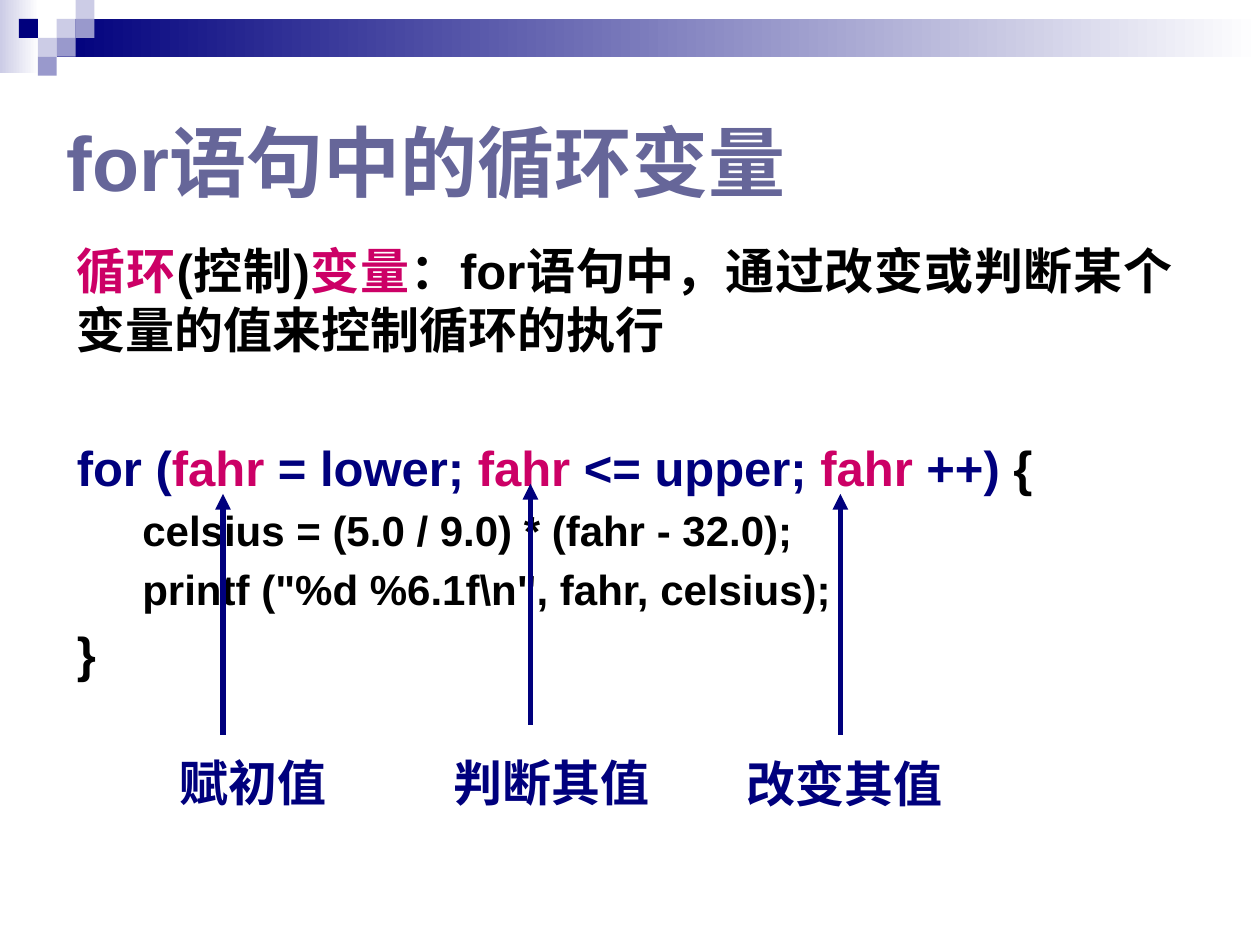
from lxml import etree
from pptx import Presentation
from pptx.dml.color import RGBColor
from pptx.enum import shapes, text
from pptx.oxml import ns
from pptx.util import Inches, Pt

COLORS = {"navy": "00007D", "lilac": "CCCCE6", "violet": "9999CC", "slate": "666699",
          "pink": "CC0066", "black": "000000", "white": "FFFFFF"}
TILE = 0.15


def color(name):
    return RGBColor.from_string(COLORS[name])


def style(span, size, name, font="Arial"):
    span.font.size, span.font.bold, span.font.name = Pt(size), True, font
    span.font.color.rgb = color(name)


deck = Presentation()
deck.slide_width, deck.slide_height = Inches(10), Inches(7.5)
page = deck.slides.add_slide(deck.slide_layouts[1])

bands = [(0, 0, 0.31, 0.58, "lilac"), (3 * TILE, TILE, 9.55, 2 * TILE, "navy")]
tiles = [(3, 1, "lilac"), (4, 0, "lilac"), (4, 1, "violet"), (2, 2, "lilac"),
         (1, 1, "navy"), (3, 2, "violet"), (2, 3, "violet")]
blocks = [(*band, True) for band in bands]
blocks += [(column * TILE, row * TILE, TILE, TILE, name, False) for column, row, name in tiles]
for left, top, width, height, name, fades in blocks:
    block = page.shapes.add_shape(shapes.MSO_SHAPE.RECTANGLE, Inches(left), Inches(top),
                                  Inches(width), Inches(height))
    block.shadow.inherit = False
    block.line.fill.background()
    if fades:
        block.fill.gradient()
        block.fill.gradient_angle = 0
        for stop, position, shade in zip(block.fill.gradient_stops, (0, 1), (name, "white")):
            stop.position, stop.color.rgb = position, color(shade)
    else:
        block.fill.solid()
        block.fill.fore_color.rgb = color(name)

title = page.shapes.title
title.left, title.top, title.width, title.height = map(Inches, (0.43, 0.68, 9, 1.01))
title.text_frame.text = "for语句中的循环变量"
title.text_frame.vertical_anchor = text.MSO_ANCHOR.BOTTOM
title.text_frame.auto_size = text.MSO_AUTO_SIZE.NONE
title.text_frame.paragraphs[0].alignment = text.PP_ALIGN.LEFT
style(title.text_frame.paragraphs[0].runs[0], 44, "slate")

body = page.placeholders[1]
body.left, body.top, body.width, body.height = map(Inches, (0.51, 1.86, 8.9, 3.55))
body.text_frame.auto_size = text.MSO_AUTO_SIZE.NONE
lines = [
    (0, 5.6, [("循环", "pink"), ("(控制)", "black"), ("变量", "pink"),
              ("：for语句中，通过改变或判断某个变量的值来控制循环的执行", "black")]),
    (0, 45, [("for (", "navy"), ("fahr ", "pink"), ("= lower; ", "navy"), ("fahr ", "pink"),
             ("<= upper; ", "navy"), ("fahr ", "pink"), ("++)", "navy"), (" { ", "black")]),
    (1, 4.8, [("celsius = (5.0 / 9.0) * (fahr - 32.0); ", "black")]),
    (1, 4.8, [('printf ("%d %6.1f\\n", fahr, celsius); ', "black")]),
    (0, 5.6, [("}", "black")]),
]
for number, (level, gap, spans) in enumerate(lines):
    para = body.text_frame.add_paragraph() if number else body.text_frame.paragraphs[0]
    para.level, para.space_before = level, Pt(gap)
    para.alignment = text.PP_ALIGN.JUSTIFY
    props = para._p.get_or_add_pPr()
    props.set("marL", str(Inches(0.83 * level)))
    props.set("indent", str(Inches(-0.31 * level)))
    etree.SubElement(props, ns.qn("a:buNone"))
    for words, name in spans:
        span = para.add_run()
        span.text = words
        style(span, 24 if level else 28, name)

notes = [("赋初值", 1.33, 5.92, 1.37, 1.77, 5.83), ("判断其值", 3.5, 5.92, 1.76, 4.21, 5.75),
         ("改变其值", 5.83, 5.93, 1.76, 6.67, 5.83)]
for words, left, top, width, x, foot in notes:
    box = page.shapes.add_textbox(Inches(left), Inches(top), Inches(width), Inches(0.57))
    box.text_frame.word_wrap = False
    box.text_frame.auto_size = text.MSO_AUTO_SIZE.SHAPE_TO_FIT_TEXT
    box.text_frame.text = words
    style(box.text_frame.paragraphs[0].runs[0], 28, "navy", "Times New Roman")

    arrow = page.shapes.add_connector(shapes.MSO_CONNECTOR.STRAIGHT, Inches(x), Inches(foot),
                                      Inches(x), Inches(foot - 1.91))
    arrow.line.color.rgb, arrow.line.width = color("navy"), Pt(3)
    etree.SubElement(arrow.line._get_or_add_ln(), ns.qn("a:tailEnd"), type="triangle")
    etree.SubElement(arrow._element.spPr, ns.qn("a:effectLst"))

deck.save("out.pptx")
